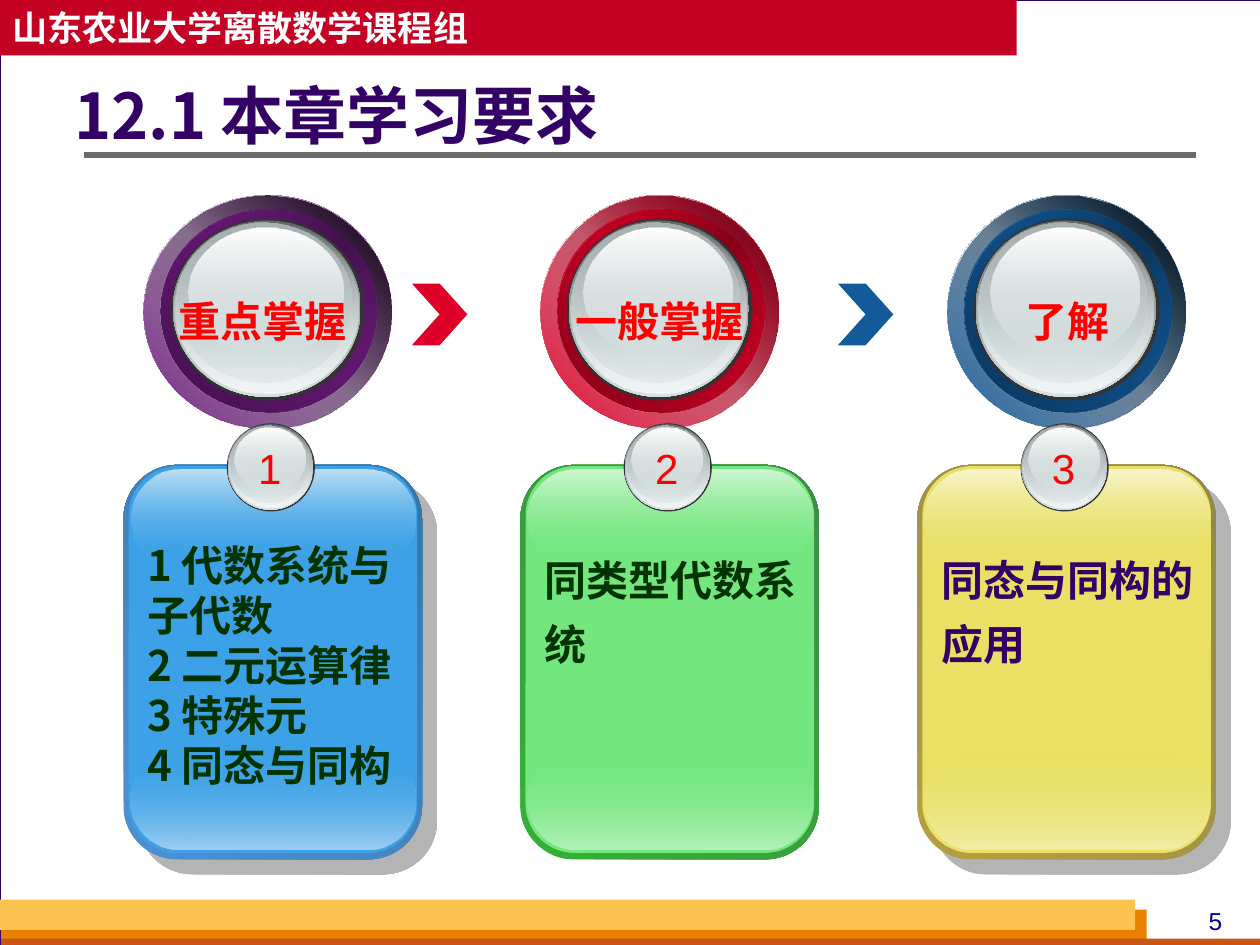
from lxml.etree import SubElement
from pptx import Presentation
from pptx.dml.color import RGBColor
from pptx.enum.shapes import MSO_CONNECTOR, MSO_SHAPE
from pptx.enum.text import MSO_ANCHOR, MSO_AUTO_SIZE, PP_ALIGN
from pptx.oxml.ns import qn
from pptx.util import Pt

COLORS = {
    "paper": "FFFFFF", "backdrop": "D8DADA", "ink": "330066", "navy": "000099",
    "red": "FF0000", "forest": "003300", "banner": "C30224", "rule": "6B6B6B",
    "orange": "E88000", "rust": "C95616", "amber": "FCC24F", "rim": "333333",
    "steel": "636869", "ice": "D6E1E2", "frost": "F1F5F5", "mist": "AAB2B3",
    "crimson": "DF0029", "blue": "135A9A",
}
CJK, LATIN = "Noto Sans CJK SC", "Arial"
GLASS = [
    ((0, 0, 1, 1), ["rim"]),
    ((0.01, 0.01, 0.97, 0.97), ["steel", "ice"]),
    ((0.02, 0.02, 0.95, 0.94), [("ice", 0), "frost"]),
    ((0.03, 0.02, 0.9, 0.88), ["mist", ("ice", 48)]),
    ((0.09, 0.05, 0.8, 0.71), ["paper", ("ice", 38)]),
]


class Deck:
    """Holds the shared style and the current slide, and draws each element."""

    def __init__(self, prs):
        self.s = prs.slides.add_slide(prs.slide_layouts[1])
        fill = self.s.background.fill
        fill.solid()
        fill.fore_color.rgb = self.rgb("backdrop")

    def code(self, name):
        return COLORS.get(name, name)

    def rgb(self, name):
        return RGBColor.from_string(self.code(name))

    def shape(self, kind, box, stops, angle=90, line=None, radius=None):
        sp = self.s.shapes.add_shape(kind, *map(Pt, box))
        sp.shadow.inherit = False
        if radius is not None:
            sp.adjustments[0] = radius
        if line:
            sp.line.color.rgb = self.rgb(line)
            sp.line.width = Pt(0.75)
        else:
            sp.line.fill.background()
        if len(stops) > 1:
            self.gradient(sp, stops, angle)
        else:
            sp.fill.solid()
            sp.fill.fore_color.rgb = self.rgb(stops[0])
        return sp

    def gradient(self, sp, stops, angle):
        sp.fill.gradient()
        grad = sp._element.spPr.find(qn("a:gradFill"))
        for child in list(grad):
            grad.remove(child)
        gs_lst = SubElement(grad, qn("a:gsLst"))
        for i, stop in enumerate(stops):
            name, opacity = stop if isinstance(stop, tuple) else (stop, 100)
            gs = SubElement(gs_lst, qn("a:gs"), pos=str(100000 * i // (len(stops) - 1)))
            clr = SubElement(gs, qn("a:srgbClr"), val=self.code(name))
            if opacity < 100:
                SubElement(clr, qn("a:alpha"), val=str(opacity * 1000))
        SubElement(grad, qn("a:lin"), ang=str(angle * 60000), scaled="0")

    def drop_shadow(self, sp):
        effects = sp._element.spPr.find(qn("a:effectLst"))
        shadow = SubElement(effects, qn("a:outerShdw"), blurRad="0", dist=str(Pt(12.1)),
                            dir=str(45 * 60000), algn="ctr", rotWithShape="0")
        clr = SubElement(shadow, qn("a:srgbClr"), val=COLORS["rule"])
        SubElement(clr, qn("a:alpha"), val="50000")

    def put_text(self, sp, lines, size, color, font=CJK, bold=True, align=PP_ALIGN.LEFT,
                 anchor=MSO_ANCHOR.TOP, spacing=None, left=7.2, top=3.6):
        tf = sp.text_frame
        tf.word_wrap = True
        tf.auto_size = MSO_AUTO_SIZE.NONE
        tf.vertical_anchor = anchor
        tf.margin_left, tf.margin_top = Pt(left), Pt(top)
        tf.margin_right, tf.margin_bottom = Pt(7.2), Pt(3.6)
        for i, line in enumerate(lines):
            p = tf.add_paragraph() if i else tf.paragraphs[0]
            p.alignment = align
            p.space_before = Pt(0)
            if spacing:
                p.line_spacing = spacing
            r = p.add_run()
            r.text = line
            r.font.size, r.font.bold, r.font.name = Pt(size), bold, font
            r.font.color.rgb = self.rgb(color)
            SubElement(r._r.get_or_add_rPr(), qn("a:ea"), typeface=CJK)

    def text(self, box, lines, size, color, **style):
        self.put_text(self.s.shapes.add_textbox(*map(Pt, box)), lines, size, color, **style)

    def placeholder(self, idx, box, lines, size, color, **style):
        sp = self.s.placeholders[idx]
        sp.left, sp.top, sp.width, sp.height = map(Pt, box)
        self.s.shapes._spTree.append(sp._element)
        self.put_text(sp, lines, size, color, **style)
        for p in sp.text_frame.paragraphs:
            pPr = p._p.get_or_add_pPr()
            pPr.set("marL", "0")
            pPr.set("indent", "0")
            SubElement(pPr, qn("a:buNone"))

    def rule(self, x1, x2, y):
        ln = self.s.shapes.add_connector(MSO_CONNECTOR.STRAIGHT, Pt(x1), Pt(y), Pt(x2), Pt(y))
        ln.line.color.rgb = self.rgb("rule")
        ln.line.width = Pt(3)
        SubElement(ln._element.spPr, qn("a:effectLst"))

    def glass(self, x, y, w, h):
        for (dx, dy, dw, dh), stops in GLASS:
            self.shape(MSO_SHAPE.OVAL, (x + dx * w, y + dy * h, dw * w, dh * h), stops)

    def disc(self, x, w, base, deep, mid, edge):
        y, h = 111.6, 133.2
        outer = (x, y, w, h)
        inner = (x + 0.07 * w, y + 0.06 * h, 0.87 * w, 0.87 * h)
        for box, stops, angle in [
            (outer, [base, "paper", base], 315),
            (outer, [(base, 32), edge], 315),
            (inner, [base, mid, base], 45),
            (inner, [deep, (base, 0)], 315),
        ]:
            self.shape(MSO_SHAPE.OVAL, box, stops, angle)
        self.glass(x + 0.11 * w, y + 0.1 * h, 0.78 * w, 0.78 * h)

    def card(self, x, number, frame, base, top, bottom, shadow):
        rounded = MSO_SHAPE.ROUNDED_RECTANGLE
        sp = self.shape(rounded, (x, 265.7, 170.6, 225.4), frame, 315, radius=0.18)
        if shadow:
            self.drop_shadow(sp)
        self.shape(rounded, (x + 2.9, 266.4, 164.9, 221), [base], radius=0.17)
        self.shape(rounded, (x + 4.3, 429.1, 162.7, 56.2), [(base, 0), bottom], radius=0.5)
        self.shape(rounded, (x + 4.3, 268.6, 162.7, 55.4), [top, (base, 0)], radius=0.5)
        self.glass(x + 59, 241.9, 50.4, 50.4)
        self.text((x + 69.8, 249.1, 27.4, 36), [str(number)], 24, "red", font=LATIN,
                  bold=False, align=PP_ALIGN.CENTER)


def main():
    prs = Presentation()
    prs.slide_width, prs.slide_height = Pt(720), Pt(540)
    d = Deck(prs)
    rect = MSO_SHAPE.RECTANGLE

    d.shape(rect, (0, 0, 720.7, 540), ["paper"], line="ink")
    for box, color in [((0.7, 519.8, 654.5, 20.2), "orange"),
                       ((0.7, 536.4, 720, 5.8), "rust"),
                       ((0, 514.1, 648.7, 17.3), "amber")]:
        d.shape(rect, box, [color])
    d.text((671.8, 514.1, 45.4, 24.5), ["5"], 14, "navy", font=LATIN, bold=False,
           align=PP_ALIGN.CENTER)
    d.rule(48.2, 683.3, 88.6)
    banner = d.shape(rect, (0, 0, 581, 31.7), ["banner"])
    d.put_text(banner, ["山东农业大学离散数学课程组"], 20, "paper", anchor=MSO_ANCHOR.MIDDLE)
    d.placeholder(0, (42.5, 43.2, 560.2, 49.7), ["12.1 本章学习要求"], 36, "ink",
                  anchor=MSO_ANCHOR.MIDDLE, spacing=0.9, left=0)

    for x, color in [(235.4, "crimson"), (478.8, "blue")]:
        d.shape(MSO_SHAPE.CHEVRON, (x, 162, 31.7, 35.3), [color])

    discs = [
        (82.1, 141.8, ("711C81", "481252", "3D0F46", ("000000", 90)), "重点掌握", 95, 116),
        (308.9, 136.1, ("crimson", "8E001A", "790016", "670013"), "一般掌握", 321.8, 112.3),
        (541.4, 136.1, ("blue", "0C3962", "0A3153", ("000000", 90)), "了解", 578.9, 64),
    ]
    for x, w, tones, label, label_x, label_w in discs:
        d.disc(x, w, *tones)
        d.text((label_x, 162.7, label_w, 36), [label], 24, "red", font=LATIN,
               spacing=Pt(28.6), top=6.6)

    cards = [
        (["4E91D4", "3477A4"], "3CA1E6", "BEE0F7", "9BCFF2", True),
        (["34B034", "3F8B4A"], "73E77E", "D0F7D4", "B3F2B9", False),
        (["B59F43", "8F8849"], "E9E065", "F8F5CC", "F2EDA6", True),
    ]
    card_x = [70.6 + 226.8 * i for i in range(len(cards))]
    for i, (x, tones) in enumerate(zip(card_x, cards)):
        d.card(x, i + 1, *tones)
    d.placeholder(1, (card_x[0] + 6.5, 301.7, 162, 151.2),
                  ["1 代数系统与子代数", "2 二元运算律", "3 特殊元", "4 同态与同构"],
                  24, "forest", spacing=Pt(28.6), top=6.6)
    for x, line, color in [(card_x[1], "同类型代数系统", "forest"),
                           (card_x[2], "同态与同构的应用", "ink")]:
        d.text((x + 6.5, 301.7, 162, 82.1), [line], 24, color, spacing=Pt(37.1), top=6.6)

    prs.save("out.pptx")


if __name__ == "__main__":
    main()
